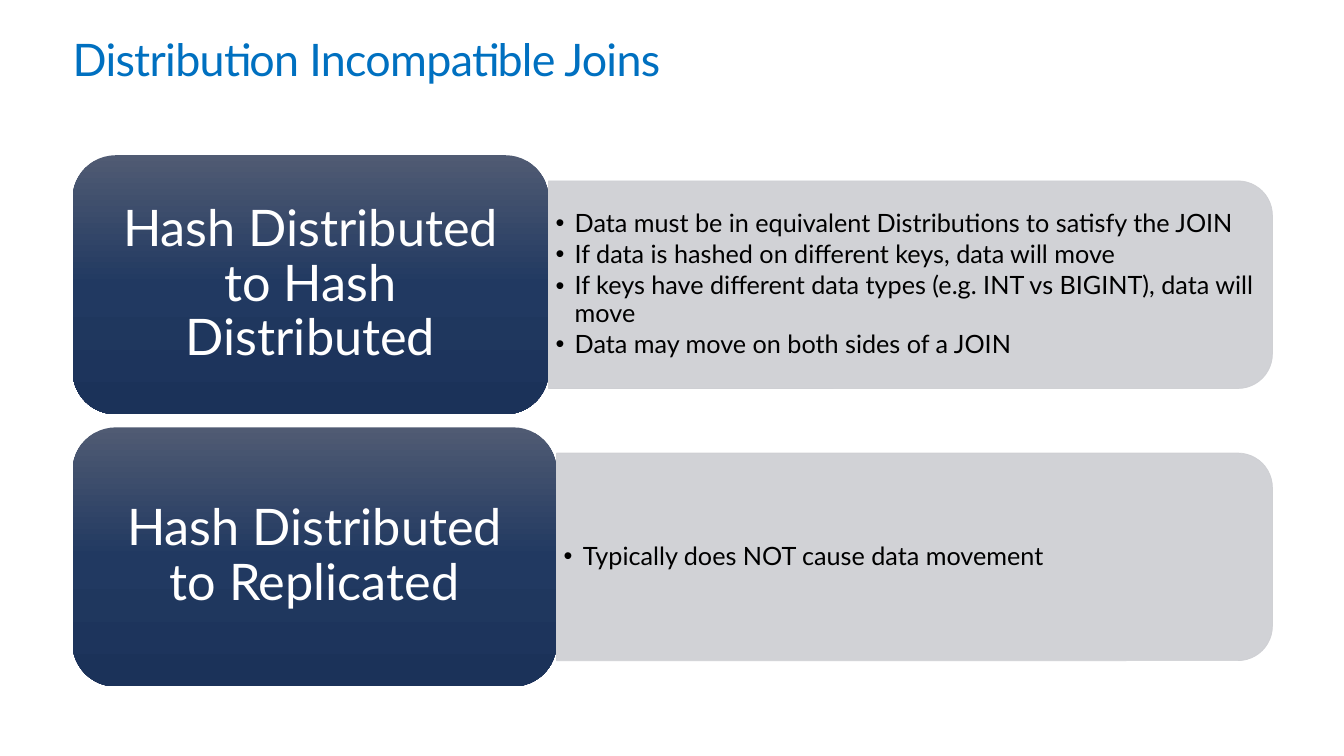
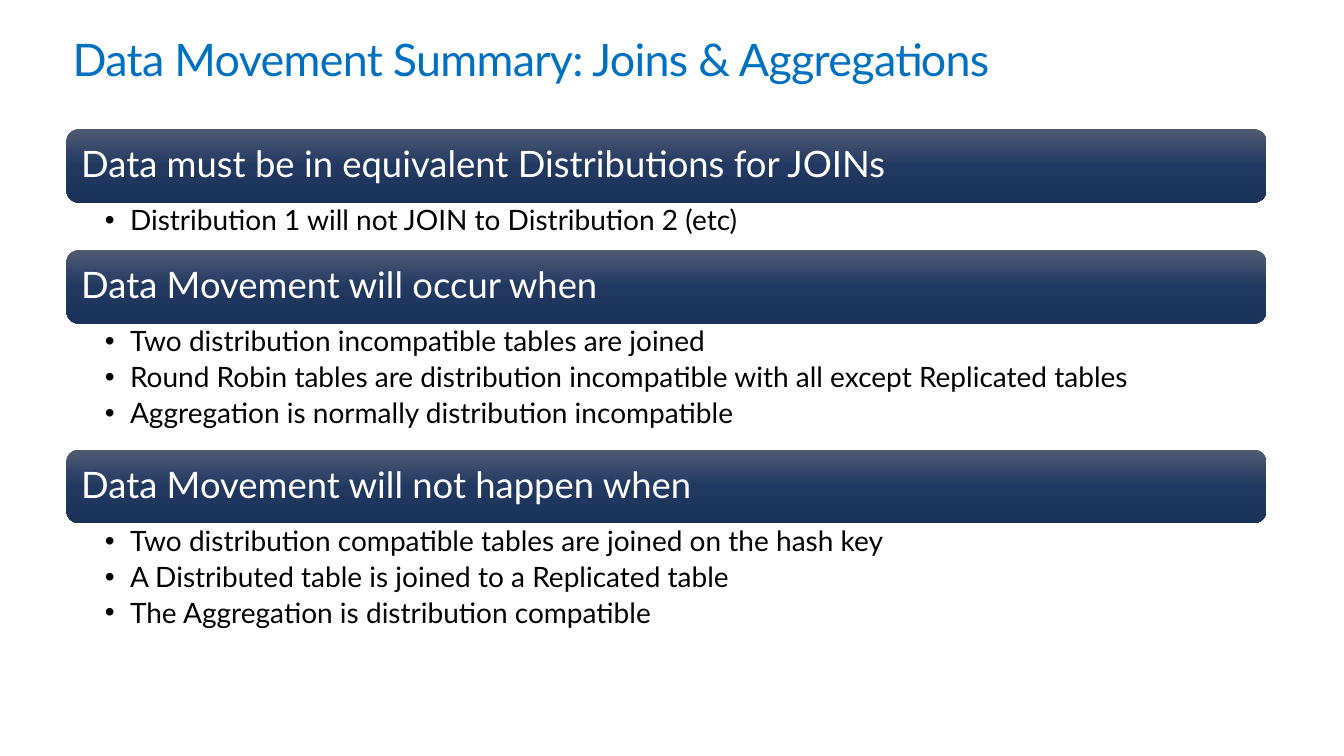
from dataclasses import dataclass

from lxml.etree import SubElement
from pptx import Presentation
from pptx.dml.color import RGBColor as RGB
from pptx.enum.shapes import MSO_SHAPE as SHAPE
from pptx.enum.text import MSO_ANCHOR as ANCHOR, PP_ALIGN as ALIGN
from pptx.oxml.ns import qn
from pptx.util import Inches, Pt


@dataclass(frozen=True)
class Theme:
    font: str = "Lato"
    title: str = "0070C0"
    body: str = "000000"
    label: str = "FFFFFF"
    panel: str = "CDCED2"
    panel_opacity: int = 90
    gradient: tuple = ((0, "505B73"), (50, "213961"), (100, "1B3259"))
    title_size: int = 32
    card_size: int = 36
    bar_size: int = 26
    card_list_size: int = 18
    bar_list_size: int = 20


THEME = Theme()
LEFT, WIDTH = 0.72, 11.9

COMPARISONS = [
    ("Hash Distributed to Hash Distributed", 4.72, [
        "Data must be in equivalent Distributions to satisfy the JOIN",
        "If data is hashed on different keys, data will move",
        "If keys have different data types (e.g. INT vs BIGINT), data will move",
        "Data may move on both sides of a JOIN",
    ]),
    ("Hash Distributed to Replicated", 4.8, [
        "Typically does NOT cause data movement",
    ]),
]

SUMMARY = [
    ("Data must be in equivalent Distributions for JOINs", [
        "Distribution 1 will not JOIN to Distribution 2 (etc)",
    ]),
    ("Data Movement will occur when", [
        "Two distribution incompatible tables are joined",
        "Round Robin tables are distribution incompatible with all except Replicated tables",
        "Aggregation is normally distribution incompatible",
    ]),
    ("Data Movement will not happen when", [
        "Two distribution compatible tables are joined on the hash key",
        "A Distributed table is joined to a Replicated table",
        "The Aggregation is distribution compatible",
    ]),
]


# Text
def set_text(sp, lines, size, color, insets, anchor=ANCHOR.MIDDLE,
             align=ALIGN.LEFT, spacing=0.9, after=0, indent=0):
    """Fill a shape with paragraphs; a nonzero indent makes them bullets."""
    tf = sp.text_frame
    tf.word_wrap = True
    tf.vertical_anchor = anchor
    (tf.margin_left, tf.margin_top,
     tf.margin_right, tf.margin_bottom) = map(Inches, insets)
    tf.text = "\n".join(lines)
    for p in tf.paragraphs:
        if indent:
            pPr = p._p.get_or_add_pPr()
            pPr.set("marL", str(Inches(indent)))
            pPr.set("indent", str(-Inches(indent)))
            SubElement(pPr, qn("a:buFont")).set("typeface", "Arial")
            SubElement(pPr, qn("a:buChar")).set("char", "•")
        p.alignment = align
        p.line_spacing = spacing
        p.space_after = Pt(after)
        for r in p.runs:
            r.font.name = THEME.font
            r.font.size = Pt(size)
            r.font.color.rgb = RGB.from_string(color)


def add_text(slide, box, lines, size, color, insets, **style):
    sp = slide.shapes.add_textbox(*map(Inches, box))
    set_text(sp, lines, size, color, insets, **style)
    return sp


def add_title(slide, text):
    sp = add_text(slide, (LEFT, 0.35, WIDTH, 0.5), [text], THEME.title_size,
                  THEME.title, (0, 0, 0, 0), anchor=ANCHOR.TOP,
                  spacing=Pt(36.2))
    for r in sp.text_frame.paragraphs[0].runs:
        r._r.get_or_add_rPr().set("spc", "-50")


# Shapes
def add_gradient_box(slide, box, text, size, insets, align=ALIGN.LEFT):
    sp = slide.shapes.add_shape(SHAPE.ROUNDED_RECTANGLE, *map(Inches, box))
    sp.shadow.inherit = False
    sp.line.fill.background()
    sp.fill.gradient()
    sp.fill.gradient_angle = 270
    stops = sp._element.spPr.find(qn("a:gradFill")).find(qn("a:gsLst"))
    for stop in list(stops):
        stops.remove(stop)
    for pos, color in THEME.gradient:
        stop = SubElement(stops, qn("a:gs"), pos=str(pos * 1000))
        SubElement(stop, qn("a:srgbClr"), val=color)
    set_text(sp, [text], size, THEME.label, insets, align=align)


def add_panel(slide, left, top, width, height):
    """Grey panel with its two right-hand corners rounded."""
    # Turned by 90 degrees about its centre, so width and height swap
    x = left + (width - height) / 2
    y = top + (height - width) / 2
    sp = slide.shapes.add_shape(SHAPE.ROUND_2_SAME_RECTANGLE,
                                *map(Inches, (x, y, height, width)))
    sp.rotation = 90
    sp.shadow.inherit = False
    sp.fill.solid()
    sp.line.width = Pt(0.5)
    for target in (sp.fill.fore_color, sp.line.color):
        target.rgb = RGB.from_string(THEME.panel)
    for color in sp._element.spPr.iter(qn("a:srgbClr")):
        SubElement(color, qn("a:alpha"), val=str(THEME.panel_opacity * 1000))


# Slides
def new_slide(prs, title):
    slide = prs.slides.add_slide(prs.slide_layouts[6])
    add_title(slide, title)
    return slide


def build_comparisons(prs):
    slide = new_slide(prs, "Distribution Incompatible Joins")
    top, card_h, panel_h, pitch = 1.54, 2.57, 2.06, 2.7
    for i, (label, card_w, points) in enumerate(COMPARISONS):
        y = top + i * pitch
        panel_x, panel_y = LEFT + card_w, y + (card_h - panel_h) / 2
        panel_w = WIDTH - card_w
        add_panel(slide, panel_x, panel_y, panel_w, panel_h)
        add_text(slide, (panel_x, panel_y + 0.1, panel_w - 0.1, panel_h - 0.2),
                 points, THEME.card_list_size, THEME.body,
                 (0.07, 0.04, 0.07, 0.04), after=3, indent=0.19)
        add_gradient_box(slide, (LEFT, y, card_w, card_h), label,
                         THEME.card_size, (0.15, 0.07, 0.15, 0.07),
                         ALIGN.CENTER)


def build_summary(prs):
    slide = new_slide(prs, "Data Movement Summary: Joins & Aggregations")
    left, y, bar_h = 0.66, 1.28, 0.73
    for heading, points in SUMMARY:
        list_h = 0.08 + 0.39 * len(points)
        add_gradient_box(slide, (left, y, WIDTH, bar_h), heading,
                         THEME.bar_size, (0.11,) * 4)
        add_text(slide, (left, y + bar_h, WIDTH, list_h), points,
                 THEME.bar_list_size, THEME.body, (0.38, 0.04, 0.2, 0.04),
                 anchor=ANCHOR.TOP, after=4, indent=0.25)
        y += bar_h + list_h


def main():
    prs = Presentation()
    prs.slide_width, prs.slide_height = Inches(13.33), Inches(7.5)
    build_comparisons(prs)
    build_summary(prs)
    prs.save("out.pptx")


if __name__ == "__main__":
    main()
